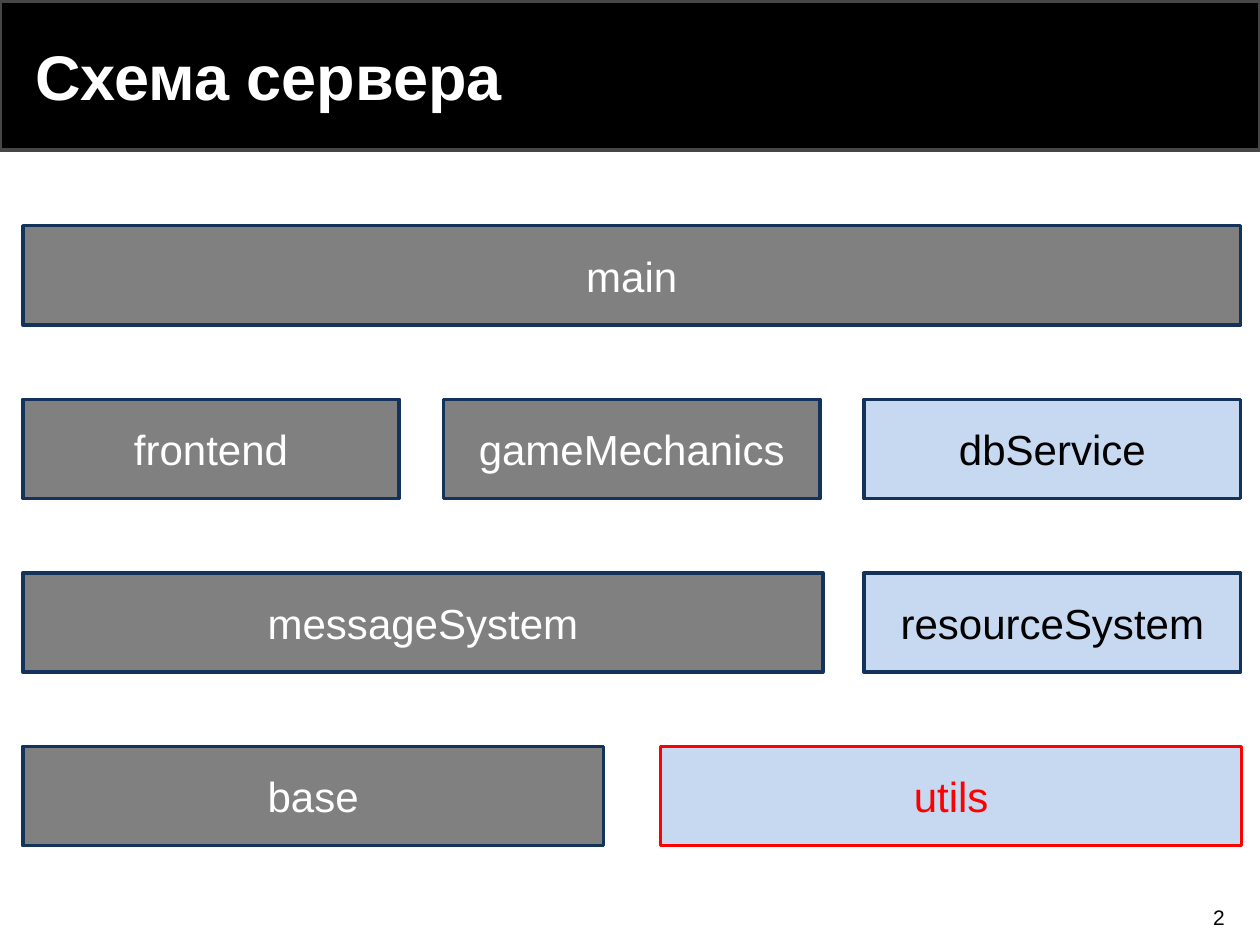
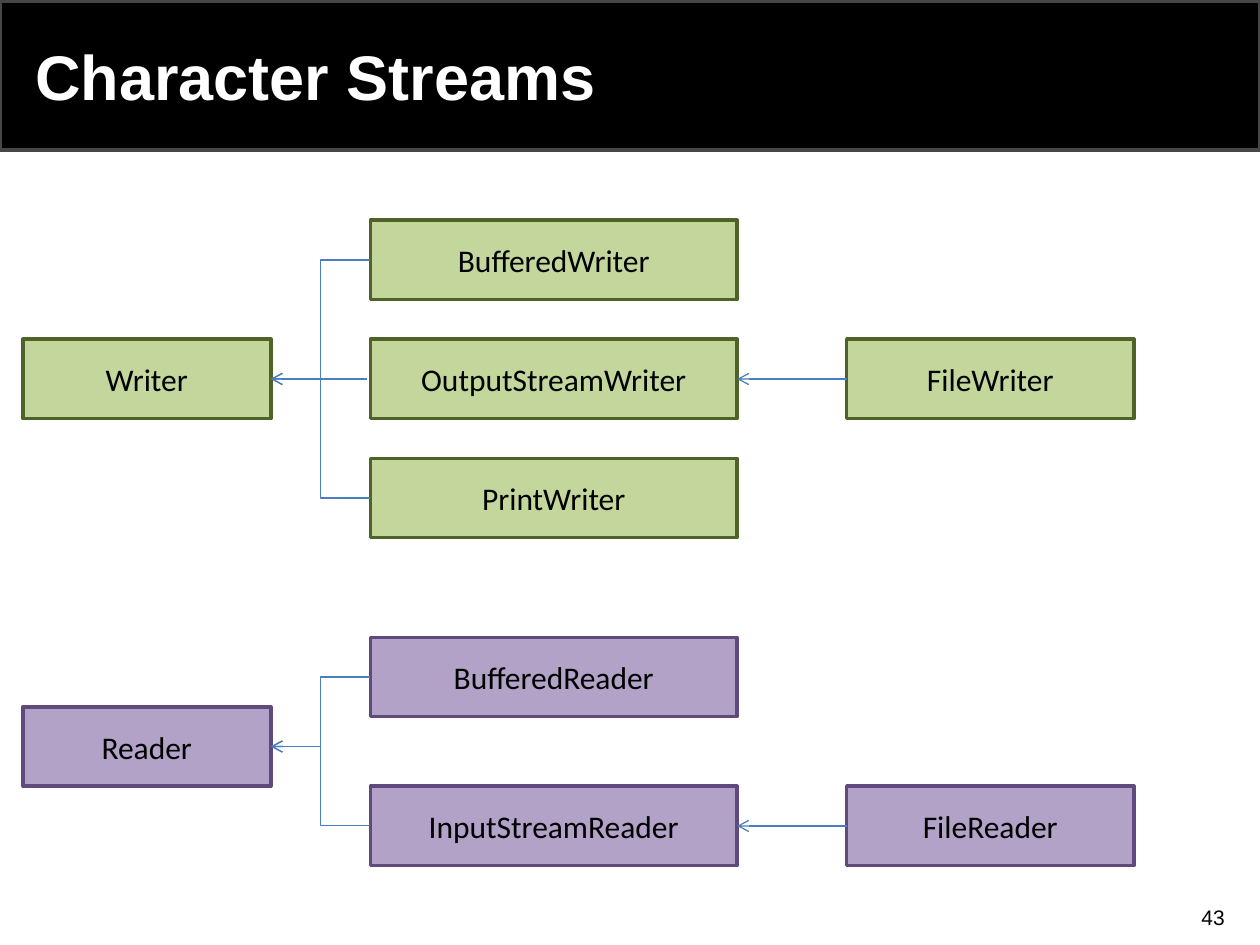
from dataclasses import dataclass

from lxml import etree
from pptx import Presentation
from pptx import slide as sl
from pptx import util as u
from pptx.dml import color
from pptx.enum import shapes, text
from pptx.oxml import ns
from pptx.shapes import autoshape, connector

WIDTH, HEIGHT = 25.4, 19.05
MARGIN = 0.46
WHITE, BLACK, RED = "FFFFFF", "000000", "FF0000"
NAVY, GREY, PALE_BLUE = "14335A", "808080", "C6D9F1"
ARROW_BLUE = "4B7EBC"
LEFT_SITE, RIGHT_SITE = 1, 3
STRAIGHT = shapes.MSO_CONNECTOR.STRAIGHT
ELBOW = shapes.MSO_CONNECTOR.ELBOW


@dataclass(frozen=True)
class Style:
    fill: str
    line: str
    ink: str
    font: str
    size: int


@dataclass(frozen=True)
class Box:
    label: str
    left: float
    top: float
    width: float
    height: float
    style: Style


@dataclass(frozen=True)
class Column:
    left: float
    width: float


DONE = Style(GREY, NAVY, WHITE, "Arial", 24)
PLANNED = Style(PALE_BLUE, NAVY, BLACK, "Arial", 24)
CURRENT = Style(PALE_BLUE, RED, RED, "Arial", 24)
WRITERS = Style("C3D69B", "4F6228", BLACK, "Calibri", 18)
READERS = Style("B3A2C7", "604A7B", BLACK, "Calibri", 18)

MODULE_TOP, MODULE_PITCH, MODULE_HEIGHT = 4.55, 3.5, 2.0
THIRD, THIRD_PITCH = 7.59, 8.48
HALF, HALF_PITCH = 11.71, 12.86
FULL = 2 * THIRD_PITCH + THIRD

CLASS_HEIGHT = 1.6
BASE = Column(MARGIN, 5.0)
DERIVED = Column(7.47, 7.39)
FILE = Column(17.07, 5.79)
WRITER_TOP, WRITER_PITCH = 4.44, 2.4


def rgb(value: str) -> color.RGBColor:
    return color.RGBColor.from_string(value)


def add_rect(s: sl.Slide, left: float, top: float, width: float,
             height: float, fill: str, line: str) -> autoshape.Shape:
    sp = s.shapes.add_shape(shapes.MSO_SHAPE.RECTANGLE, u.Cm(left), u.Cm(top),
                            u.Cm(width), u.Cm(height))
    sp.shadow.inherit = False
    sp.fill.solid()
    sp.fill.fore_color.rgb = rgb(fill)
    sp.line.color.rgb = rgb(line)
    sp.line.width = u.Pt(2)
    return sp


def write(sp: autoshape.Shape, words: str, font: str, size: int, ink: str,
          align: text.PP_ALIGN, bold: bool = False) -> None:
    tf = sp.text_frame
    tf.word_wrap = True
    tf.vertical_anchor = text.MSO_ANCHOR.MIDDLE
    p = tf.paragraphs[0]
    p.text = words
    p.alignment = align
    p.font.name = font
    p.font.size = u.Pt(size)
    p.font.bold = bold
    p.font.color.rgb = rgb(ink)


def add_box(s: sl.Slide, box: Box) -> autoshape.Shape:
    st = box.style
    sp = add_rect(s, box.left, box.top, box.width, box.height, st.fill, st.line)
    write(sp, box.label, st.font, st.size, st.ink, text.PP_ALIGN.CENTER)
    return sp


def add_line(s: sl.Slide, kind: shapes.MSO_CONNECTOR, x1: float = 0,
             y1: float = 0, x2: float = 0, y2: float = 0) -> connector.Connector:
    cx = s.shapes.add_connector(kind, u.Cm(x1), u.Cm(y1), u.Cm(x2), u.Cm(y2))
    cx.line.color.rgb = rgb(ARROW_BLUE)
    cx.line.width = u.Pt(0.75)
    etree.SubElement(cx.element.spPr, ns.qn("a:effectLst"))
    return cx


def add_arrow(s: sl.Slide, kind: shapes.MSO_CONNECTOR,
              child: autoshape.Shape, parent: autoshape.Shape) -> None:
    cx = add_line(s, kind)
    cx.begin_connect(child, LEFT_SITE)
    cx.end_connect(parent, RIGHT_SITE)
    etree.SubElement(cx.line._get_or_add_ln(), ns.qn("a:tailEnd"), type="arrow")


def add_slide(prs: Presentation, title: str, number: int) -> sl.Slide:
    s = prs.slides.add_slide(prs.slide_layouts[6])
    add_rect(s, 0, 0.03, WIDTH, 3.0, BLACK, "464646")
    sp = s.shapes.add_textbox(u.Cm(MARGIN), u.Cm(0.25), u.Cm(20.7), u.Cm(2.54))
    write(sp, title, "Arial", 36, WHITE, text.PP_ALIGN.LEFT, bold=True)
    sp = s.shapes.add_textbox(u.Cm(19.15), u.Cm(18.11), u.Cm(5.79), u.Cm(0.76))
    write(sp, str(number), "Arial", 12, BLACK, text.PP_ALIGN.RIGHT)
    return s


def module(label: str, row: int, offset: float, width: float,
           style: Style) -> Box:
    return Box(label, MARGIN + offset, MODULE_TOP + row * MODULE_PITCH,
               width, MODULE_HEIGHT, style)


def add_server_scheme(prs: Presentation) -> None:
    s = add_slide(prs, "Схема сервера", 2)
    for box in (
        module("main", 0, 0, FULL, DONE),
        module("frontend", 1, 0, THIRD, DONE),
        module("gameMechanics", 1, THIRD_PITCH, THIRD, DONE),
        module("dbService", 1, 2 * THIRD_PITCH, THIRD, PLANNED),
        module("messageSystem", 2, 0, 16.13, DONE),
        module("resourceSystem", 2, 2 * THIRD_PITCH, THIRD, PLANNED),
        module("base", 3, 0, HALF, DONE),
        module("utils", 3, HALF_PITCH, HALF, CURRENT),
    ):
        add_box(s, box)


def add_class(s: sl.Slide, label: str, column: Column, top: float,
              style: Style) -> autoshape.Shape:
    return add_box(s, Box(label, column.left, top, column.width,
                          CLASS_HEIGHT, style))


def add_character_streams(prs: Presentation) -> None:
    s = add_slide(prs, "Character Streams", 43)

    middle = WRITER_TOP + WRITER_PITCH
    writer = add_class(s, "Writer", BASE, middle, WRITERS)
    buffered_writer, stream_writer, print_writer = [
        add_class(s, label, DERIVED, WRITER_TOP + i * WRITER_PITCH, WRITERS)
        for i, label in enumerate(
            ("BufferedWriter", "OutputStreamWriter", "PrintWriter"))
    ]
    file_writer = add_class(s, "FileWriter", FILE, middle, WRITERS)

    reader = add_class(s, "Reader", BASE, 14.25, READERS)
    buffered_reader = add_class(s, "BufferedReader", DERIVED, 12.85, READERS)
    stream_reader = add_class(s, "InputStreamReader", DERIVED, 15.85, READERS)
    file_reader = add_class(s, "FileReader", FILE, 15.85, READERS)

    for kind, child, parent in (
        (ELBOW, buffered_writer, writer),
        (ELBOW, print_writer, writer),
        (ELBOW, buffered_reader, reader),
        (ELBOW, stream_reader, reader),
        (STRAIGHT, file_writer, stream_writer),
        (STRAIGHT, file_reader, stream_reader),
    ):
        add_arrow(s, kind, child, parent)
    axis = middle + CLASS_HEIGHT / 2
    add_line(s, STRAIGHT, 5.87, axis, 7.39, axis)


def main() -> None:
    prs = Presentation()
    prs.slide_width, prs.slide_height = u.Cm(WIDTH), u.Cm(HEIGHT)
    add_server_scheme(prs)
    add_character_streams(prs)
    prs.save("out.pptx")


if __name__ == "__main__":
    main()
